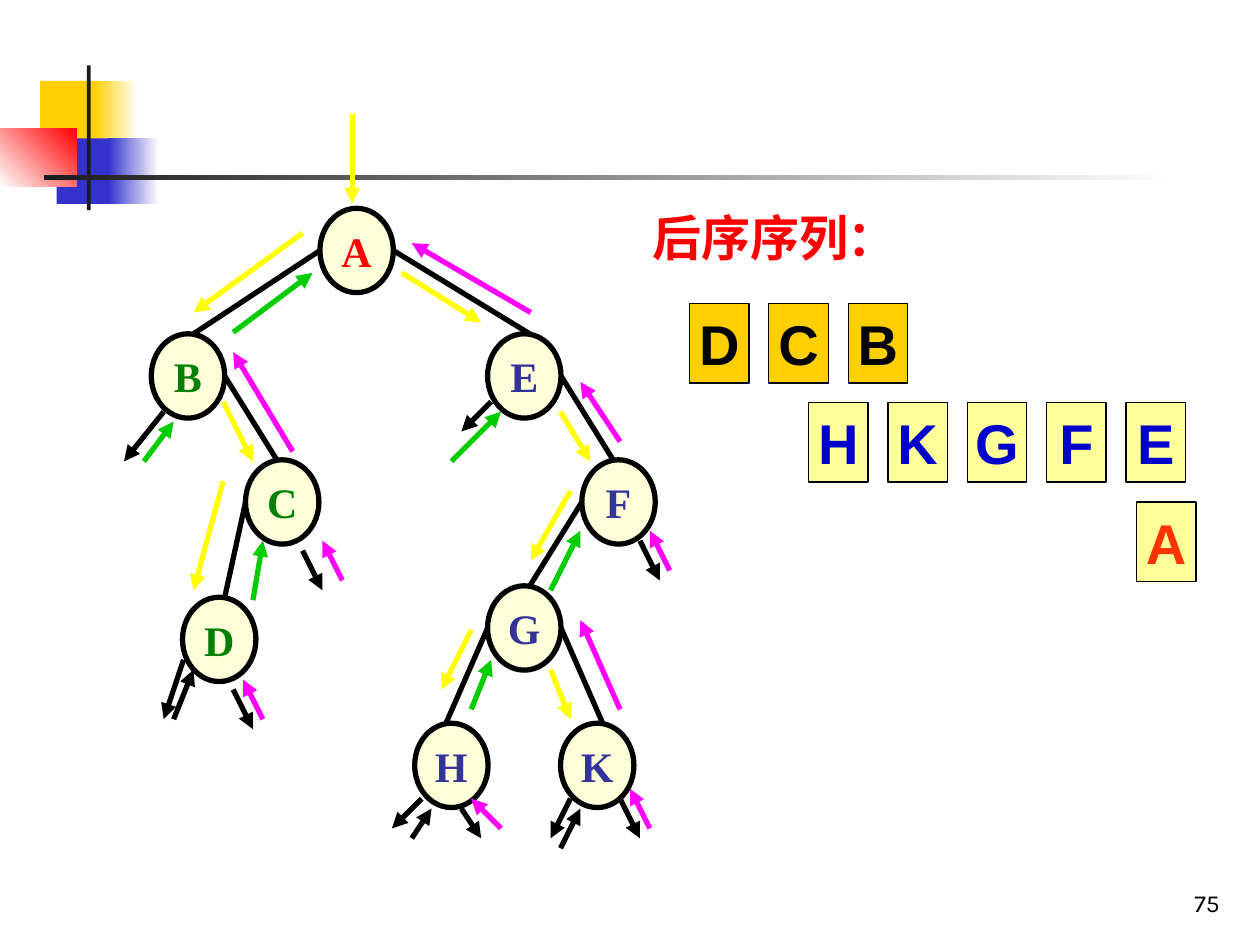
from lxml import etree
from pptx import Presentation, util as u
from pptx.dml.color import RGBColor
from pptx.enum import shapes, text
from pptx.oxml.ns import qn

# Theme: colours, type, line widths
THEME = {
    "gold": "FFCF01", "blue": "3333CC", "red": "FF0000", "dark": "1C1C1C",
    "white": "FFFFFF", "black": "000000", "cream": "FFFFD9", "pale": "FFFF99",
    "green": "008000", "navy": "333399", "ink": "0000CC", "flame": "FF3300",
    "down": "FFFF00", "left": "00CC00", "right": "FF00FF",
    "serif": "Times New Roman", "sans": "Arial", "page": "Karla",
    "node": 24, "head": 28, "box": 32, "small": 14, "thick": 3, "thin": 0.75,
}

# Corner decoration: place, start colour, end colour, gradient angle
DECOR = [
    ((0.81, 1.63, 1.22, 1.32), "gold", None, 0),
    ((1.88, 1.63, 0.91, 1.32), "gold", "white", 0),
    ((1.14, 2.79, 1.17, 1.32), "blue", None, 0),
    ((2.18, 2.79, 1.02, 1.32), "blue", "white", 0),
    ((0, 2.59, 1.55, 1.17), "white", "red", 45),
    ((1.75, 1.32, 0.08, 2.92), "dark", None, 0),
    ((0.89, 3.53, 22.86, 0.1), "dark", "white", 0),
]

# Tree nodes: left, top, text colour
NODES = {
    "A": (6.45, 4.2, "red"), "B": (3.05, 6.73, "green"),
    "C": (4.95, 9.27, "green"), "D": (3.68, 12.04, "green"),
    "E": (9.83, 6.73, "navy"), "F": (11.73, 9.27, "navy"),
    "G": (9.83, 11.81, "navy"), "H": (8.36, 14.58, "navy"),
    "K": (11.3, 14.58, "navy"),
}
NODE_W, NODE_H = 1.48, 1.7

# Edges: parent, side (0 left, 1 right), child, shift from the child's top
NUDGE = 0.11
EDGES = [
    ("A", 0, "B", 1), ("B", 1, "C", -1), ("C", 0, "D", 1), ("A", 1, "E", 1),
    ("E", 1, "F", -1), ("F", 0, "G", 1), ("G", 0, "H", -1), ("G", 1, "K", 1),
]

# Walk arrows by colour: x1, y1, x2, y2
WALK = {
    "down": [
        (7.1, 2.3, 7.1, 4.1), (6.1, 4.7, 3.9, 6.3), (4.5, 8.1, 5.1, 9.3),
        (4.5, 9.7, 3.9, 11.9), (8.1, 5.5, 9.7, 6.5), (11.3, 8.3, 11.9, 9.3),
        (11.5, 9.9, 10.7, 11.3), (9.5, 12.7, 8.9, 13.9),
        (11.1, 13.5, 11.5, 14.5),
    ],
    "left": [
        (2.9, 9.3, 3.5, 8.5), (5.1, 12.1, 5.3, 10.9), (4.7, 6.7, 6.3, 5.5),
        (9.1, 9.3, 10.1, 8.3), (9.5, 14.3, 9.9, 13.3),
        (11.1, 11.9, 11.7, 10.7),
    ],
    "right": [
        (5.3, 14.5, 4.9, 13.7), (6.9, 11.7, 6.5, 10.9), (5.9, 9.1, 4.7, 7.1),
        (10.1, 16.7, 9.5, 16.1), (13.1, 16.7, 12.7, 15.9),
        (12.5, 14.3, 11.7, 12.5), (13.5, 11.5, 13.1, 10.7),
        (12.5, 8.9, 11.7, 7.7), (10.7, 6.3, 8.3, 4.9),
    ],
    "black": [
        (3.3, 8.3, 2.5, 9.3), (3.7, 13.3, 3.3, 14.5), (3.5, 14.5, 3.9, 13.5),
        (4.7, 13.9, 5.1, 14.7), (6.1, 11.1, 6.5, 11.9), (9.9, 8.1, 9.3, 8.7),
        (12.9, 10.9, 13.3, 11.7), (8.5, 16.1, 7.9, 16.7),
        (8.3, 16.9, 8.7, 16.3), (9.3, 16.3, 9.7, 16.9),
        (11.5, 16.1, 11.1, 16.9), (11.3, 17.1, 11.7, 16.3),
        (12.5, 16.1, 12.9, 16.9),
    ],
}

# Output rows: letters, left, fill, text colour
ROWS = [
    ("DCB", 13.9, "gold", "black"),
    ("HKGFE", 16.3, "pale", "ink"),
    ("A", 22.91, "pale", "flame"),
]
BOX_W, BOX_H, STEP, ROW_TOP, ROW_GAP = 1.2, 1.6, 1.6, 6.12, 2.0

HEAD = ("后序序列：", (12.9, 4.06, 7.19, 1.45))
PAGE = ("75", (19.56, 17.35, 5.28, 1.27))


def rgb(key):
    return RGBColor.from_string(THEME[key])


def apply(obj, form):
    for key, val in form.items():
        setattr(obj, key, val)


def write(shape, words, face, size, ink, bold=True, frame=None, para=None):
    tf = shape.text_frame
    apply(tf, frame or {})
    par = tf.paragraphs[0]
    apply(par, para or {})
    run = par.add_run()
    run.text = words
    apply(run.font, {"name": THEME[face], "size": u.Pt(THEME[size]),
                     "bold": bold})
    run.font.color.rgb = rgb(ink)


def block(kind, place, fill, end=None, angle=0, width=None):
    shape = slide.shapes.add_shape(kind, *map(u.Cm, place))
    shape.shadow.inherit = False
    if end:
        shape.fill.gradient()
        shape.fill.gradient_angle = angle
        for stop, key in zip(shape.fill.gradient_stops, (fill, end)):
            stop.color.rgb = rgb(key)
    else:
        shape.fill.solid()
        shape.fill.fore_color.rgb = rgb(fill)
    if width:
        shape.line.color.rgb = rgb("black")
        shape.line.width = u.Pt(THEME[width])
    else:
        shape.line.fill.background()
    return shape


def stroke(ends, ink, arrow=False):
    line = slide.shapes.add_connector(
        shapes.MSO_CONNECTOR.STRAIGHT, *map(u.Cm, ends))
    line.line.color.rgb = rgb(ink)
    line.line.width = u.Pt(THEME["thick"])
    prop = line.line._get_or_add_ln()
    if arrow:
        etree.SubElement(prop, qn("a:tailEnd"), type="triangle")
    etree.SubElement(prop.getparent(), qn("a:effectLst"))


def note(words, place, *style, **form):
    box = slide.shapes.add_textbox(*map(u.Cm, place))
    write(box, words, *style, **form)


deck = Presentation()
apply(deck, {"slide_width": u.Cm(25.4), "slide_height": u.Cm(19.05)})
slide = deck.slides.add_slide(deck.slide_layouts[6])
RECT, OVAL = shapes.MSO_SHAPE.RECTANGLE, shapes.MSO_SHAPE.OVAL
MID = {"frame": {"word_wrap": False,
                 "vertical_anchor": text.MSO_ANCHOR.MIDDLE},
       "para": {"alignment": text.PP_ALIGN.CENTER}}

# Decoration
for place, fill, end, angle in DECOR:
    block(RECT, place, fill, end, angle)

# Tree
for name, (x, y, ink) in NODES.items():
    oval = block(OVAL, (x, y, NODE_W, NODE_H), "cream", width="thick")
    write(oval, name, "serif", "node", ink, **MID)
for top, side, low, sign in EDGES:
    x1, y1, _ = NODES[top]
    x2, y2, _ = NODES[low]
    stroke((x1 + side * NODE_W, y1 + NODE_H / 2,
            x2 + NODE_W / 2 + sign * NUDGE, y2), "black")

# Heading and output rows
note(*HEAD, "serif", "head", "red", frame={"word_wrap": True})
for row, (names, left, fill, ink) in enumerate(ROWS):
    for col, name in enumerate(names):
        place = (left + col * STEP, ROW_TOP + row * ROW_GAP, BOX_W, BOX_H)
        write(block(RECT, place, fill, width="thin"),
              name, "sans", "box", ink, **MID)

# Walk around the tree
for ink, paths in WALK.items():
    for ends in paths:
        stroke(ends, ink, arrow=True)

# Page number
note(*PAGE, "page", "small", "black", bold=False,
     frame={"word_wrap": True, "vertical_anchor": text.MSO_ANCHOR.BOTTOM},
     para={"alignment": text.PP_ALIGN.RIGHT, "line_spacing": 0.8})

deck.save("out.pptx")
